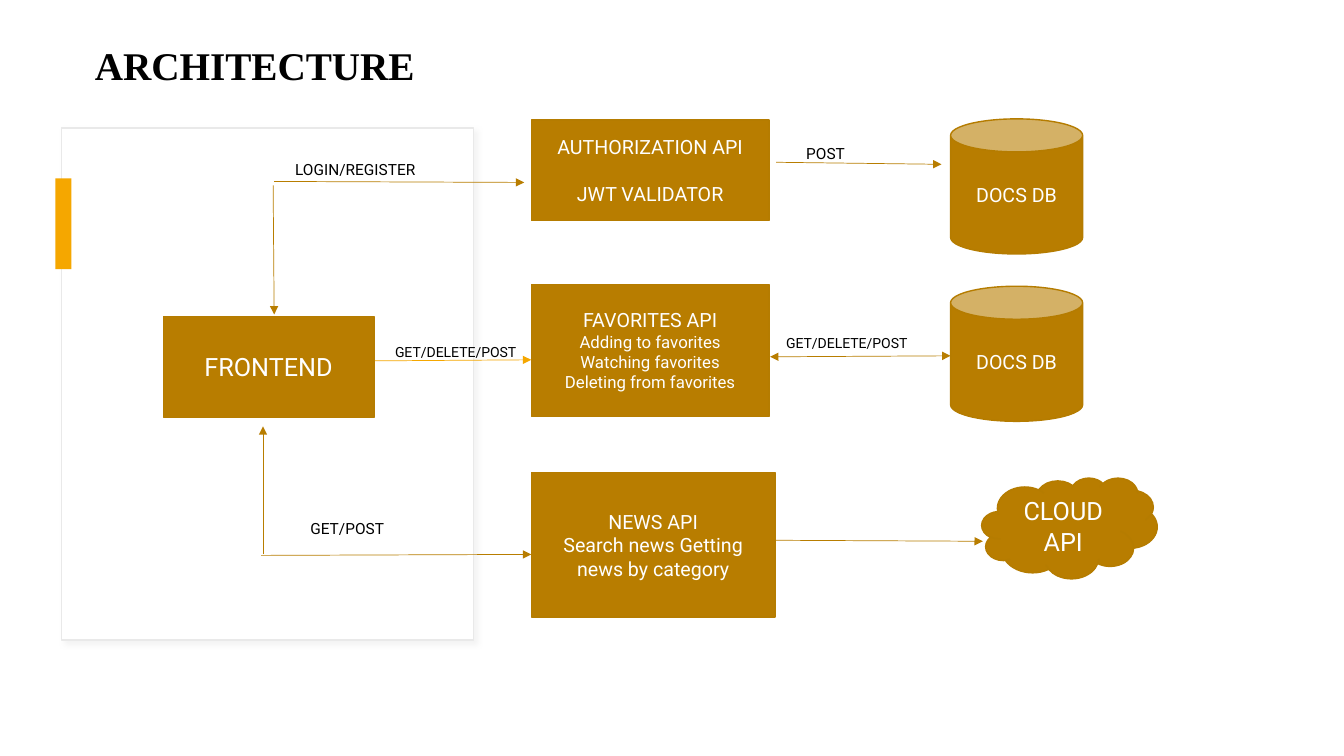
"""Build the architecture slide: a front end, three services and their stores."""
from lxml import etree
from pptx import Presentation, util as u
from pptx.dml.color import RGBColor
from pptx.enum import shapes, text
from pptx.oxml import parse_xml
from pptx.oxml.ns import nsdecls, qn

COLS, ROWS = 133.33, 75
API, STORE = 52.7, 94.3
THEME = {
    "font": "Roboto", "head": "Times New Roman",
    "fill": "B87D00", "edge": "B57C00", "gold": "F5A700",
    "pale": "E9E9E9", "shade": "D9D9D9", "white": "FFFFFF", "ink": "000000",
    "title": 28, "big": 18, "mid": 14, "small": 12, "tag": 11, "mini": 10,
    "line": 1, "thin": 0.5,
}

TITLE = ("ARCHITECTURE", (8.4, 3.1, 60, 7))
PANEL = (6.1, 12.7, 40.9, 50.8)
ACCENT = (5.5, 17.7, 1.6, 9)
RECT, CAN, CLOUD = (shapes.MSO_SHAPE.RECTANGLE, shapes.MSO_SHAPE.CAN,
                    shapes.MSO_SHAPE.CLOUD)
NODES = [
    (RECT, (16.2, 31.4, 20.9, 10), [("FRONTEND", "big", 0)]),
    (RECT, (API, 11.9, 23.6, 10),
     [("AUTHORIZATION API", "mid", 0), ("JWT VALIDATOR", "mid", 16.8)]),
    (RECT, (API, 28.2, 23.6, 13.1),
     [("FAVORITES API", "mid", 0), ("Adding to favorites", "small", 0),
      ("Watching favorites", "small", 0),
      ("Deleting from favorites", "small", 0)]),
    (RECT, (API, 46.9, 24.2, 14.3),
     [("NEWS API", "mid", 0),
      ("Search news Getting news by category", "mid", 0)]),
    (CAN, (STORE, 11.8, 13.1, 13.4), [("DOCS DB", "mid", 0)]),
    (CAN, (STORE, 28.4, 13.1, 13.4), [("DOCS DB", "mid", 0)]),
    (CLOUD, (97.4, 47.4, 17.4, 10), [("CLOUD\vAPI", "big", 0)]),
]
ARROWS = [
    ((27.2, 18, 52, 18.1), "fill", False),
    ((27.1, 18.4, 27.2, 31.2), "fill", False),
    ((25.9, 55.1, API, 55), "fill", False),
    ((26.1, 55, 26.1, 42.3), "fill", False),
    ((37.2, 35.8, API, 35.7), "gold", False),
    ((77, 16.1, 93.4, 16.3), "fill", False),
    ((76.4, 35.4, STORE, 35.3), "fill", True),
    ((76.9, 53.6, 97.5, 53.7), "fill", False),
]
TAGS = [
    ("LOGIN/REGISTER", (28.3, 15.4, 18.5, 2.9), "tag"),
    ("GET/DELETE/POST", (38.2, 33.6, 14.4, 2.7), "mini"),
    ("GET/DELETE/POST", (77, 32.7, 15.4, 2.7), "mini"),
    ("POST", (79, 13.8, 12.5, 2.9), "tag"),
    ("GET/POST", (29.8, 51, 18, 2.9), "tag"),
]

deck = Presentation()
deck.slide_width, deck.slide_height = u.Inches(13.33), u.Inches(7.5)
slide = deck.slides.add_slide(deck.slide_layouts[5])


def grid(box):
    sizes = (deck.slide_width, deck.slide_height) * 2
    return [int(v * s / n) for v, s, n in zip(box, sizes, (COLS, ROWS) * 2)]


def tint(name):
    return RGBColor.from_string(THEME[name])


def style(para, size, color, font="font", bold=False):
    for run in para.runs:
        run.font.name, run.font.size = THEME[font], u.Pt(THEME[size])
        run.font.color.rgb, run.font.bold = tint(color), bold


def block(kind, box, fill, edge=None):
    shape = slide.shapes.add_shape(kind, *grid(box))
    shape.shadow.inherit = False
    shape.fill.solid()
    shape.fill.fore_color.rgb = tint(fill)
    if edge:
        shape.line.color.rgb = tint(edge)
        shape.line.width = u.Pt(THEME["line"])
    else:
        shape.line.fill.background()
    return shape


def shade(shape):
    props = shape._element.spPr
    props.remove(props.find(qn("a:effectLst")))
    props.append(parse_xml(
        f'<a:effectLst {nsdecls("a")}><a:outerShdw blurRad="{u.Pt(4)}" '
        f'dist="{u.Pt(3)}" dir="2700000" algn="tl" rotWithShape="0">'
        f'<a:srgbClr val="{THEME["shade"]}"><a:alpha val="30000"/>'
        '</a:srgbClr></a:outerShdw></a:effectLst>'))


def node(kind, box, lines):
    frame = block(kind, box, "fill", "edge").text_frame
    frame.word_wrap = True
    frame.vertical_anchor = text.MSO_ANCHOR.MIDDLE
    frame.text = "\n".join(line for line, _, _ in lines)
    for para, (_, size, gap) in zip(frame.paragraphs, lines):
        para.alignment = text.PP_ALIGN.CENTER
        para.space_before = u.Pt(gap)
        style(para, size, "white")


def arrow(ends, color, both):
    line = slide.shapes.add_connector(shapes.MSO_CONNECTOR.STRAIGHT, *grid(ends))
    line.line.color.rgb = tint(color)
    line.line.width = u.Pt(THEME["thin"])
    props = line._element.spPr
    for tip in ("a:headEnd", "a:tailEnd")[0 if both else 1:]:
        etree.SubElement(props.find(qn("a:ln")), qn(tip), type="triangle")
    etree.SubElement(props, qn("a:effectLst"))


def tag(words, box, size):
    frame = slide.shapes.add_textbox(*grid(box)).text_frame
    frame.word_wrap = True
    frame.text = words
    style(frame.paragraphs[0], size, "ink")


def title(words, box):
    head = slide.shapes.title
    head.left, head.top, head.width, head.height = grid(box)
    frame = head.text_frame
    frame.text = words
    frame.vertical_anchor = text.MSO_ANCHOR.TOP
    para = frame.paragraphs[0]
    para.alignment, para.line_spacing = text.PP_ALIGN.LEFT, 1.1
    style(para, "title", "ink", "head", True)


shade(block(RECT, PANEL, "white", "pale"))
block(RECT, ACCENT, "gold")
title(*TITLE)
for draw, items in ((node, NODES), (arrow, ARROWS), (tag, TAGS)):
    for item in items:
        draw(*item)
deck.save("out.pptx")
